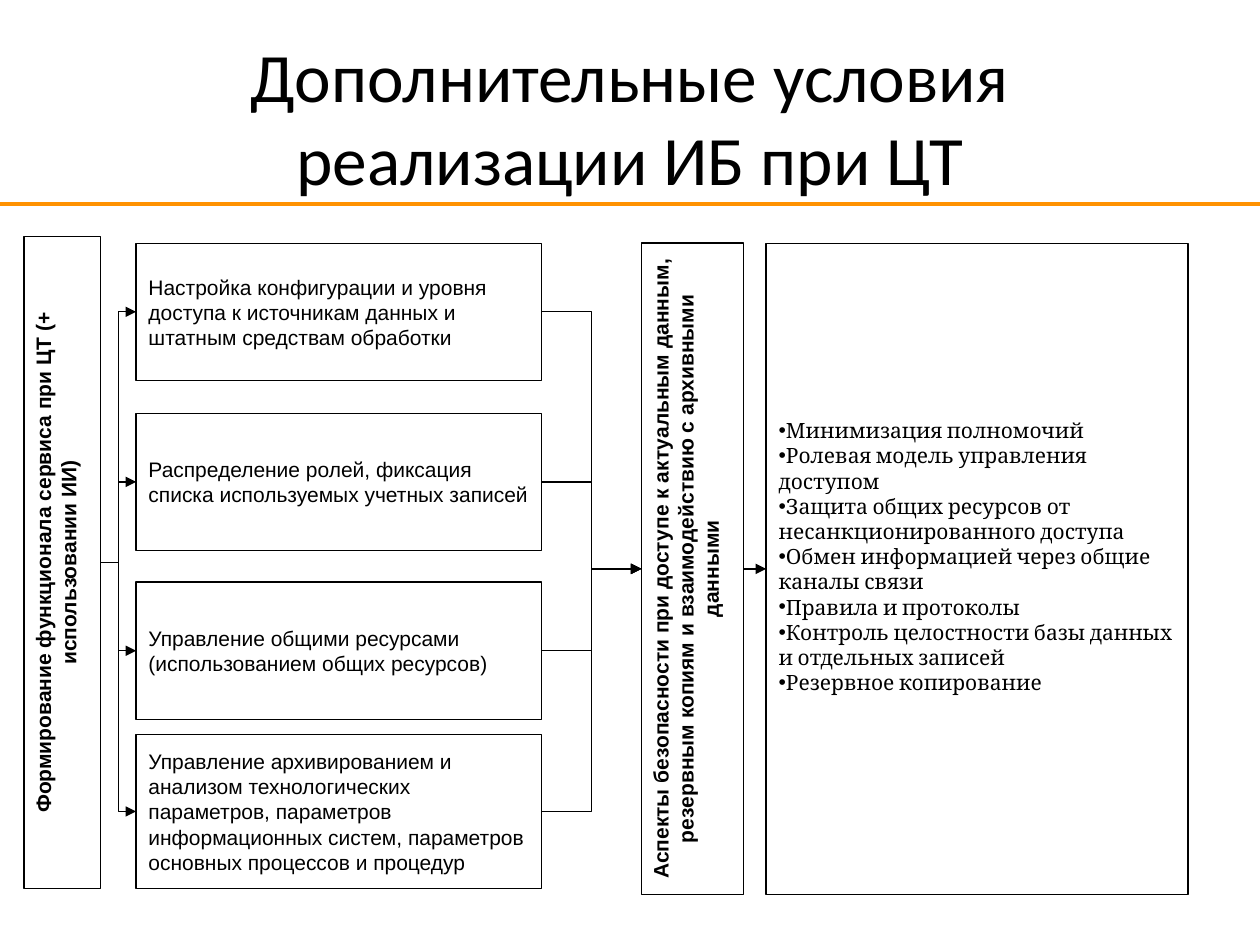
"""Build the slide on additional information security conditions."""
from dataclasses import dataclass

from lxml.etree import SubElement
from pptx import Presentation
from pptx.dml.color import RGBColor
from pptx.enum.shapes import MSO_CONNECTOR as Link, MSO_SHAPE as Preset
from pptx.enum.text import MSO_ANCHOR as Anchor, MSO_AUTO_SIZE as AutoSize, PP_ALIGN as Align
from pptx.oxml.ns import qn
from pptx.util import Inches, Pt


@dataclass(frozen=True)
class Theme:
    ink: RGBColor = RGBColor(0, 0, 0)
    paper: RGBColor = RGBColor(255, 255, 255)
    accent: RGBColor = RGBColor(0xFF, 0x92, 0x01)
    title_size: float = 39.6
    text_size: float = 12
    border: float = 0.75
    rule: float = 2.5


THEME = Theme()
TITLE = "Дополнительные условия реализации ИБ при ЦТ"
SOURCE = "Формирование функционала сервиса при ЦТ (+ использовании ИИ)"
ASPECTS = ("Аспекты безопасности при доступе к актуальным данным, "
           "резервным копиям и взаимодействию с архивными данными")
STEPS = [
    ("Настройка конфигурации и уровня доступа к источникам данных и "
     "штатным средствам обработки", 1.93, 1.09),
    ("Распределение ролей, фиксация списка используемых учетных записей", 3.28, 1.09),
    ("Управление общими ресурсами (использованием общих ресурсов)", 4.62, 1.09),
    ("Управление архивированием и анализом технологических параметров, параметров "
     "информационных систем, параметров основных процессов и процедур", 5.83, 1.22),
]
MEASURES = [
    "Минимизация полномочий",
    "Ролевая модель управления доступом",
    "Защита общих ресурсов от несанкционированного доступа",
    "Обмен информацией через общие каналы связи",
    "Правила и протоколы",
    "Контроль целостности базы данных и отдельных записей",
    "Резервное копирование",
]


def place(shape, left, top, width, height):
    shape.left, shape.top = Inches(left), Inches(top)
    shape.width, shape.height = Inches(width), Inches(height)


def style_font(font, name, size, bold=False):
    font.name, font.size, font.bold = name, Pt(size), bold
    font.color.rgb = THEME.ink


def style_panel(shape):
    shape.fill.solid()
    shape.fill.fore_color.rgb = THEME.paper
    shape.line.color.rgb = THEME.ink
    shape.line.width = Pt(THEME.border)


def add_title(slide):
    title = slide.shapes.title
    place(title, 0.5, 0.3, 9, 1.25)
    title.text_frame.text = TITLE
    title.text_frame.auto_size = AutoSize.NONE
    title.text_frame.vertical_anchor = Anchor.MIDDLE
    heading = title.text_frame.paragraphs[0]
    heading.alignment = Align.CENTER
    style_font(heading.font, "Calibri", THEME.title_size)


def add_box(slide, text, left, top, width, height, upright=False):
    box = slide.shapes.add_shape(
        Preset.RECTANGLE, Inches(left), Inches(top), Inches(width), Inches(height))
    box.shadow.inherit = False
    style_panel(box)
    frame = box.text_frame
    frame.word_wrap = True
    frame.text = text
    frame.vertical_anchor = Anchor.TOP if upright else Anchor.MIDDLE
    if upright:
        box.element.txBody.find(qn("a:bodyPr")).set("vert", "vert270")
    label = frame.paragraphs[0]
    label.alignment = Align.CENTER if upright else Align.LEFT
    style_font(label.font, "Arial", THEME.text_size, bold=upright)
    return box


def add_measures(slide, left, top, width, height):
    panel = slide.placeholders[1]
    place(panel, left, top, width, height)
    style_panel(panel)
    frame = panel.text_frame
    frame.text = "\n".join(MEASURES)
    frame.auto_size = AutoSize.NONE
    frame.vertical_anchor = Anchor.MIDDLE
    frame.margin_bottom = Inches(0.25)
    for measure in frame.paragraphs:
        measure.space_before = Pt(0)
        style_font(measure.font, "Cambria", THEME.text_size)
        props = measure._p.get_or_add_pPr()
        props.set("marL", "0")
        props.set("indent", "0")
        SubElement(props, qn("a:buChar"), char="•")
    return panel


def add_line(slide, kind, color, weight, start=(0, 0), end=(0, 0)):
    line = slide.shapes.add_connector(kind, *map(Inches, start + end))
    line.line.color.rgb = color
    line.line.width = Pt(weight)
    SubElement(line.element.spPr, qn("a:effectLst"))
    return line


def add_arrow(slide, origin, target, kind=Link.ELBOW):
    """Join the right side of origin to the left side of target."""
    arrow = add_line(slide, kind, THEME.ink, THEME.border)
    arrow.begin_connect(origin, 3)
    arrow.end_connect(target, 1)
    SubElement(arrow.line._get_or_add_ln(), qn("a:tailEnd"), type="triangle")


def main():
    deck = Presentation()
    deck.slide_width, deck.slide_height = Inches(10), Inches(7.5)
    slide = deck.slides.add_slide(deck.slide_layouts[1])
    add_title(slide)
    add_line(slide, Link.STRAIGHT, THEME.accent, THEME.rule, (0, 1.62), (10, 1.62))
    source = add_box(slide, SOURCE, 0.19, 1.88, 0.61, 5.17, upright=True)
    steps = [add_box(slide, text, 1.08, top, 3.22, height) for text, top, height in STEPS]
    measures = add_measures(slide, 6.08, 1.93, 3.35, 5.17)
    aspects = add_box(slide, ASPECTS, 5.09, 1.93, 0.81, 5.17, upright=True)
    for step in steps:
        add_arrow(slide, source, step)
        add_arrow(slide, step, aspects)
    add_arrow(slide, aspects, measures, Link.STRAIGHT)
    deck.save("out.pptx")


if __name__ == "__main__":
    main()
